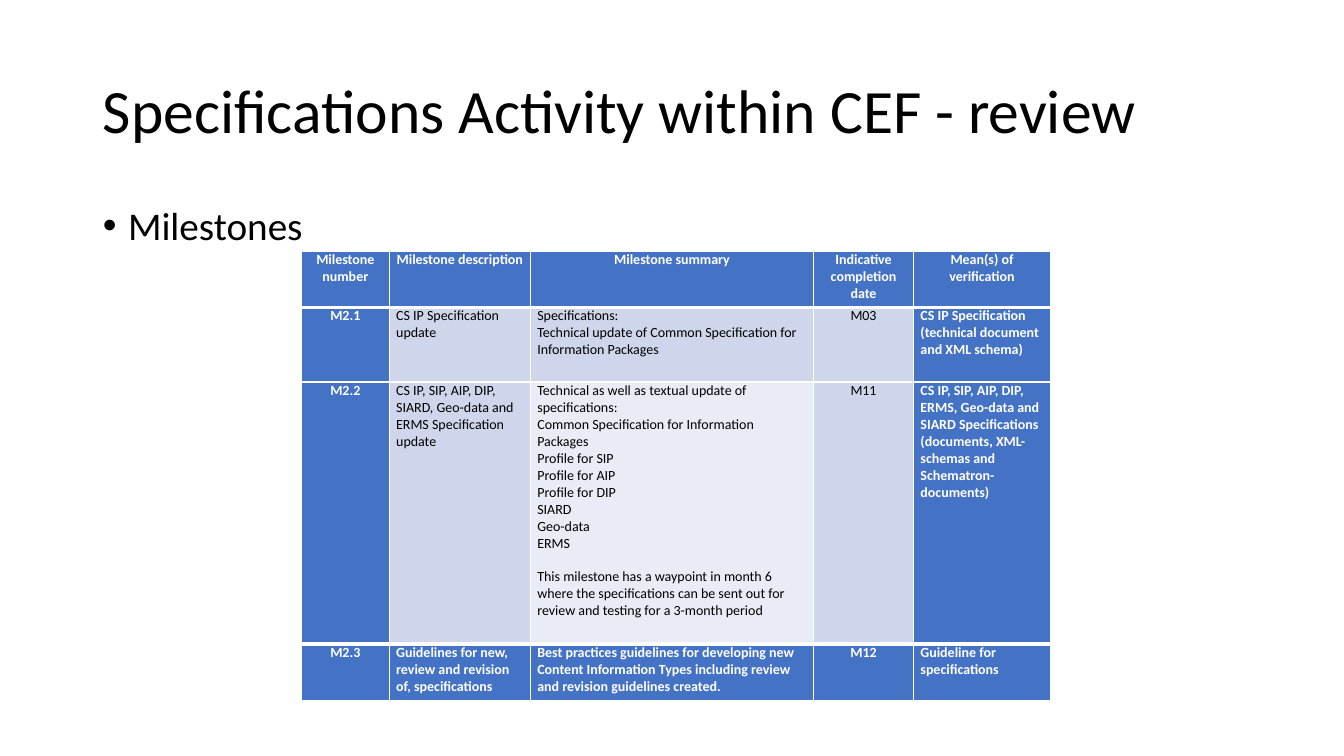
import pptx
import pptx.util
import pptx.dml.color
import pptx.enum.text
import pptx.oxml
import pptx.oxml.ns
from lxml import etree

Inches, Pt = pptx.util.Inches, pptx.util.Pt
ALIGN = pptx.enum.text.PP_ALIGN
ANCHOR = pptx.enum.text.MSO_ANCHOR
COLORS = {"black": "000000", "white": "FFFFFF", "blue": "4472C4",
          "band": "CFD5EA", "pale": "E9EBF5"}
FONT = "Calibri"
WIDTH, HEIGHT = 13.33, 7.5
MARGIN, CONTENT_WIDTH = 0.92, 11.5


def add_run(paragraph, text, size, color, bold=False):
    run = paragraph.add_run()
    run.text = text
    run.font.name, run.font.size, run.font.bold = FONT, Pt(size), bold
    run.font.color.rgb = pptx.dml.color.RGBColor.from_string(COLORS[color])


def set_borders(cell, widths):
    """Draw white borders; widths maps L, R, T, B (in that order) to points."""
    properties = cell._tc.get_or_add_tcPr()
    for position, (side, width) in enumerate(widths.items()):
        line = pptx.oxml.parse_xml(
            f'<a:ln{side} {pptx.oxml.ns.nsdecls("a")} w="{Pt(width)}"><a:solidFill>'
            f'<a:srgbClr val="{COLORS["white"]}"/></a:solidFill></a:ln{side}>')
        properties.insert(position, line)


presentation = pptx.Presentation()
presentation.slide_width, presentation.slide_height = Inches(WIDTH), Inches(HEIGHT)
slide = presentation.slides.add_slide(presentation.slide_layouts[1])

# Title and list
title, body = slide.placeholders
headings = [
    (title, 0.4, 1.45, ANCHOR.MIDDLE, "Specifications Activity within CEF - review", 44),
    (body, 2, 4.76, ANCHOR.TOP, "Milestones", 28),
]
for holder, top, height, anchor, text, size in headings:
    holder.left, holder.top = Inches(MARGIN), Inches(top)
    holder.width, holder.height = Inches(CONTENT_WIDTH), Inches(height)
    holder.text_frame.vertical_anchor = anchor
    paragraph = holder.text_frame.paragraphs[0]
    paragraph.alignment, paragraph.line_spacing = ALIGN.LEFT, 0.9
    add_run(paragraph, text, size, "black")

bullet_format = body.text_frame.paragraphs[0]._p.get_or_add_pPr()
bullet_format.set("marL", str(Inches(0.25)))
bullet_format.set("indent", str(-Inches(0.25)))
body.text_frame.paragraphs[0].space_before = Pt(10)
etree.SubElement(bullet_format, pptx.oxml.ns.qn("a:buFont")).set("typeface", "Arial")
etree.SubElement(bullet_format, pptx.oxml.ns.qn("a:buChar")).set("char", "•")

# Milestone table: each cell is a list of paragraphs
milestones = [
    [["Milestone number"], ["Milestone description"], ["Milestone summary"],
     ["Indicative completion date"], ["Mean(s) of verification"]],
    [["M2.1"], ["CS IP Specification update"],
     ["Specifications:",
      "Technical update of Common Specification for Information Packages"],
     ["M03"], ["CS IP Specification (technical document and XML schema)"]],
    [["M2.2"], ["CS IP, SIP, AIP, DIP, SIARD, Geo-data and ERMS Specification update"],
     ["Technical as well as textual update of specifications:",
      "Common Specification for Information Packages",
      "Profile for SIP", "Profile for AIP", "Profile for DIP",
      "SIARD", "Geo-data", "ERMS",
      "This milestone has a waypoint in month 6 where the specifications "
      "can be sent out for review and testing for a 3-month period"],
     ["M11"],
     ["CS IP, SIP, AIP, DIP, ERMS, Geo-data and SIARD Specifications "
      "(documents, XML-schemas and Schematron-documents)"]],
    [["M2.3"], ["Guidelines for new, review and revision of, specifications"],
     ["Best practices guidelines for developing new Content Information Types "
      "including review and revision guidelines created."],
     ["M12"], ["Guideline for specifications"]],
]
column_widths = [0.87, 1.4, 2.81, 0.99, 1.36]
row_heights = [0.56, 0.74, 2.6, 0.56]
last_row, last_column = len(row_heights) - 1, len(column_widths) - 1
SUMMARY, DATE = 2, 3

table = slide.shapes.add_table(
    len(row_heights), len(column_widths), Inches(2.99), Inches(2.49),
    Inches(sum(column_widths)), Inches(sum(row_heights))).table
table.first_row = table.horz_banding = False
for column, width in zip(table.columns, column_widths):
    column.width = Inches(width)

for r, (height, entries) in enumerate(zip(row_heights, milestones)):
    table.rows[r].height = Inches(height)
    for c, lines in enumerate(entries):
        cell = table.cell(r, c)
        cell.margin_left = cell.margin_right = Inches(0.07)
        cell.margin_top = cell.margin_bottom = 0
        emphasized = r in (0, last_row) or c in (0, last_column)
        plain_fill = "pale" if (r, c) == (2, SUMMARY) else "band"
        cell.fill.solid()
        cell.fill.fore_color.rgb = pptx.dml.color.RGBColor.from_string(
            COLORS["blue" if emphasized else plain_fill])
        set_borders(cell, {"L": 1, "R": 1,
                           "T": 3 if r in (1, last_row) else 1,
                           "B": 3 if r in (0, last_row - 1) else 1})
        for i, text in enumerate(lines):
            frame = cell.text_frame
            paragraph = frame.add_paragraph() if i else frame.paragraphs[0]
            centered = r == 0 or c in (0, DATE)
            paragraph.alignment = ALIGN.CENTER if centered else ALIGN.LEFT
            if text.startswith("This milestone"):
                paragraph.space_before = Pt(12)
            add_run(paragraph, text, 10, "white" if emphasized else "black", emphasized)

presentation.save("out.pptx")
